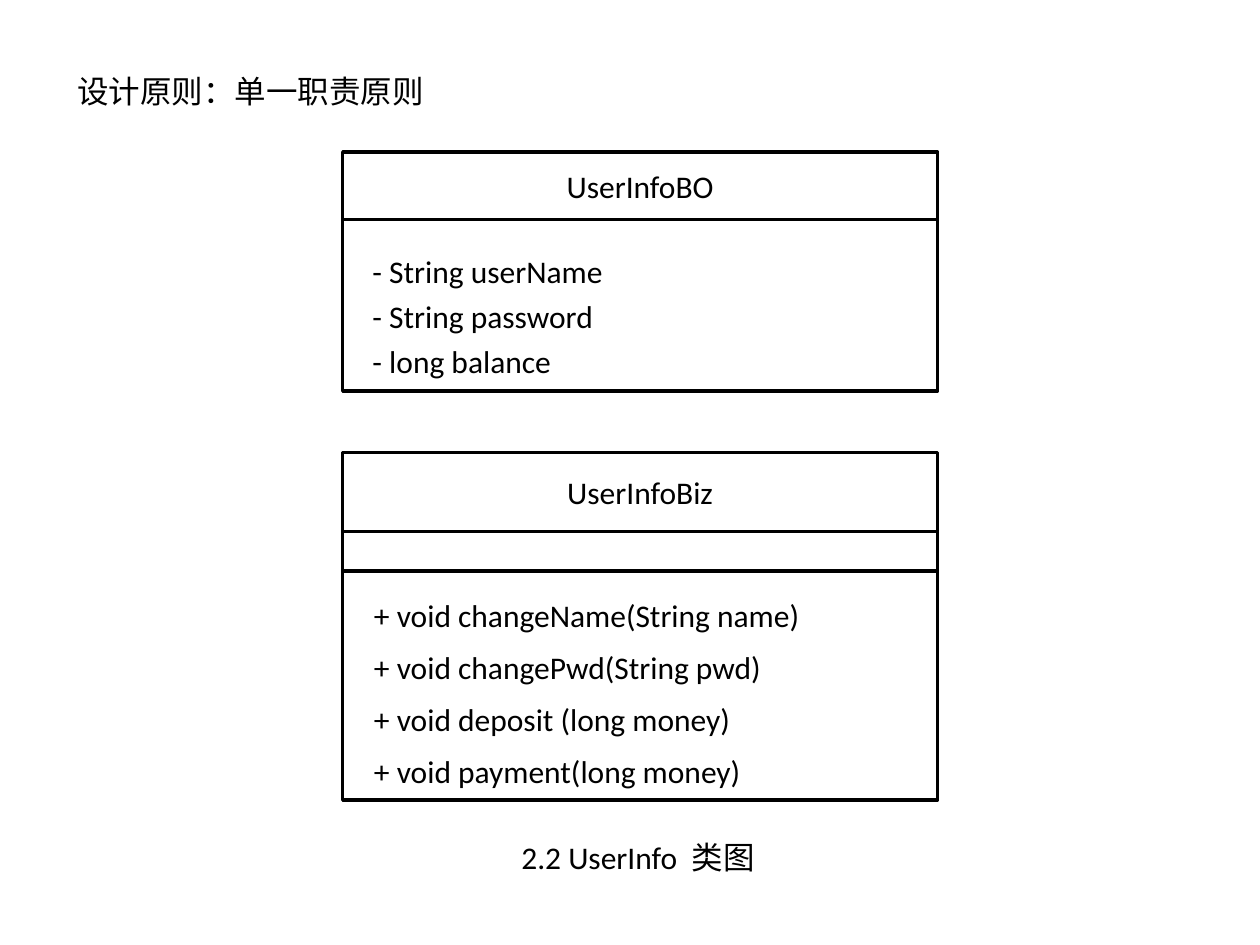
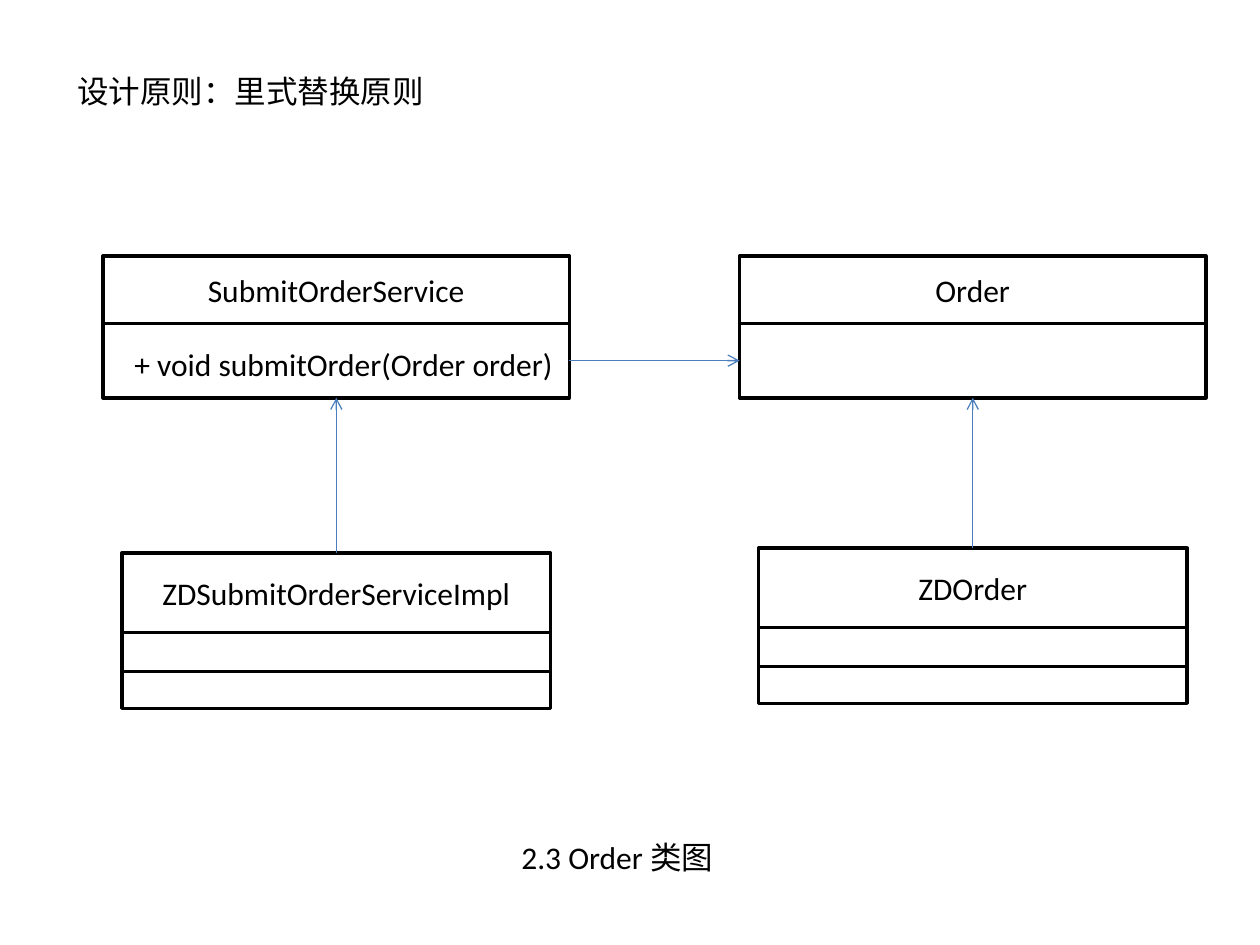
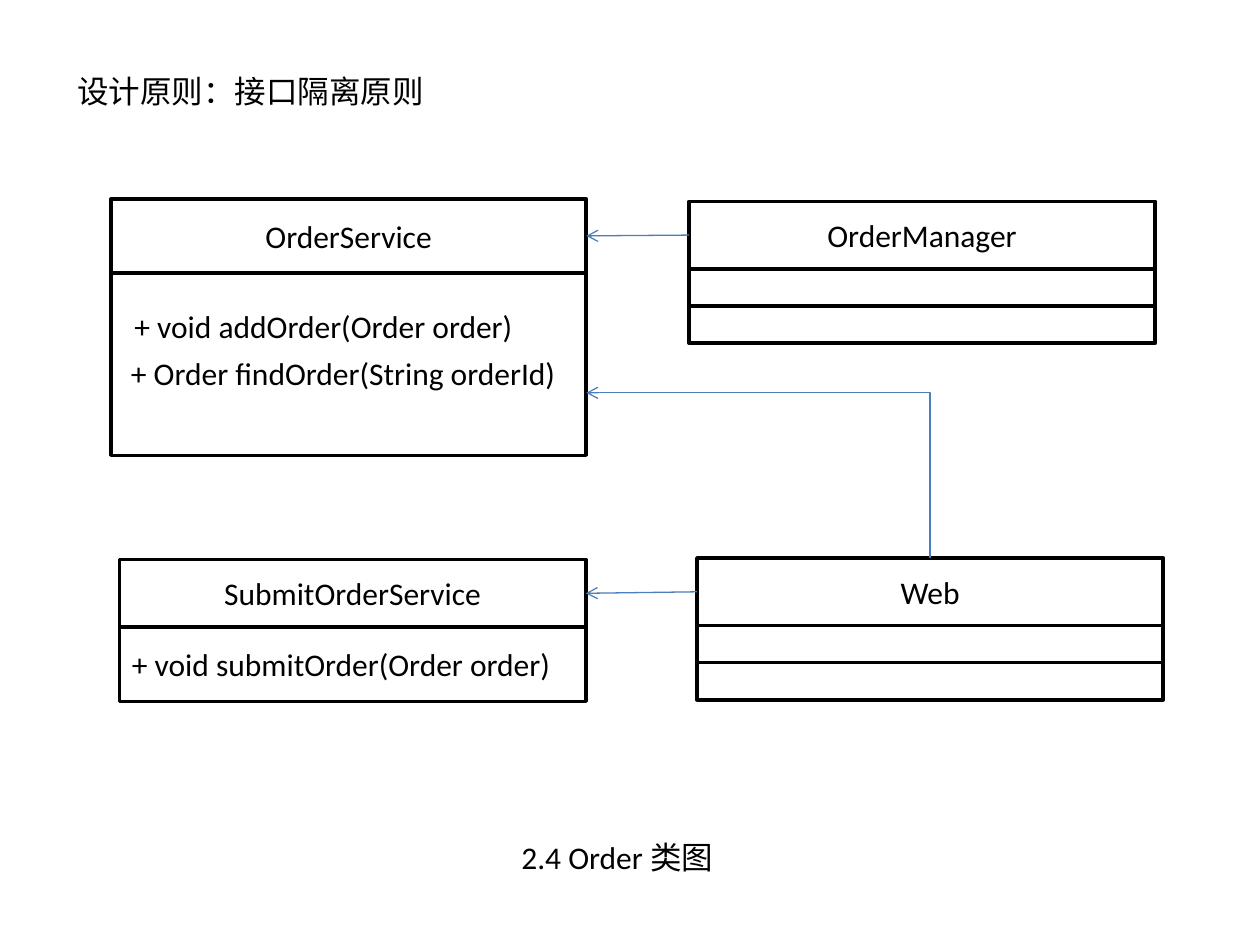
"""Build three slides of class diagrams on design principles."""
from pptx import Presentation
from pptx.dml.color import RGBColor as Rgb
from pptx.enum.shapes import MSO_CONNECTOR as Conn, MSO_SHAPE as Form
from pptx.enum.text import MSO_ANCHOR as Anchor, MSO_AUTO_SIZE as Fit, PP_ALIGN as Align
from pptx.oxml.ns import qn
from pptx.util import Cm, Pt
from lxml.etree import SubElement as Sub

HUES = {"ink": "000000", "paper": "FFFFFF", "arrow": "4B7EBC"}
FONT = {"name": "Calibri", "size": Pt(18), "bold": False}
FRAME = {"word_wrap": True, "vertical_anchor": Anchor.TOP, "auto_size": Fit.NONE}
PLACE = ("left", "top", "width", "height")


def write(shape, text, align=Align.LEFT, **extra):
    frame = shape.text_frame
    for key, val in {**FRAME, **extra}.items():
        setattr(frame, key, val)
    para = frame.paragraphs[0]
    para.text = text
    para.alignment = align
    font = para.runs[0].font
    for key, val in FONT.items():
        setattr(font, key, val)
    font.color.rgb = Rgb.from_string(HUES["ink"])


def link(slide, kind, ends, tip):
    line = slide.shapes.add_connector(kind, *[Cm(n) for n in ends])
    line.line.color.rgb = Rgb.from_string(HUES["arrow"])
    line.line.width = Pt(0.75)
    Sub(line.line._get_or_add_ln(), qn(f"a:{tip}"), type="arrow")
    Sub(line._element.spPr, qn("a:effectLst"))
    return line


DECK = [
    {
        "title": "设计原则：单一职责原则",
        "note": ("2.2 UserInfo  类图", 5.26),
        "boxes": [
            ("UserInfoBO", 6.91, 3.07, 11.99, (1.36, 3.45)),
            ("UserInfoBiz", 6.91, 9.12, 11.99, (1.6, 0.79, 4.62)),
        ],
        "lists": [
            (7.26, 4.95, 5.49, 0.91, ["- String userName", "- String password", "- long balance"]),
            (7.29, 11.89, 11.25, 1.05, [
                "+ void changeName(String name)",
                "+ void changePwd(String pwd)",
                "+ void deposit (long money)",
                "+ void payment(long money)",
            ]),
        ],
        "links": [],
        "bends": [],
    },
    {
        "title": "设计原则：里式替换原则",
        "note": ("2.3 Order 类图", 4.42),
        "boxes": [
            ("ZDSubmitOrderServiceImpl", 2.46, 11.15, 8.64, (1.6, 0.79, 0.74)),
            ("SubmitOrderService", 2.08, 5.16, 9.4, (1.36, 1.5)),
            ("ZDOrder", 15.29, 11.05, 8.64, (1.6, 0.79, 0.74)),
            ("Order", 14.91, 5.16, 9.4, (1.36, 1.5)),
        ],
        "lists": [(2.46, 6.83, 9.02, 1.05, ["+ void submitOrder(Order order)"])],
        "links": [
            ("ZDOrder", 0, 0, "Order", 1, 2),
            ("SubmitOrderService", 1, 3, "Order", 1, 1),
            ("ZDSubmitOrderServiceImpl", 0, 0, "SubmitOrderService", 1, 2),
        ],
        "bends": [],
    },
    {
        "title": "设计原则：接口隔离原则",
        "note": ("2.4 Order 类图", 4.42),
        "boxes": [
            ("SubmitOrderService", 2.41, 11.28, 9.4, (1.36, 1.5)),
            ("OrderService", 2.24, 4.01, 9.58, (1.49, 3.68)),
            ("OrderManager", 13.89, 4.06, 9.4, (1.36, 0.75, 0.75)),
            ("Web", 14.05, 11.25, 9.4, (1.36, 0.75, 0.75)),
        ],
        "lists": [
            (2.41, 12.88, 9.02, 1.05, ["+ void submitOrder(Order order)"]),
            (2.46, 6.07, 9.37, 1.05, ["+ void addOrder(Order order)"]),
            (2.39, 7.01, 9.58, 1.05, ["+ Order findOrder(String orderId)"]),
        ],
        "links": [
            ("OrderManager", 0, 1, "OrderService", 0, 3),
            ("Web", 0, 1, "SubmitOrderService", 0, 3),
        ],
        "bends": [(11.82, 7.92, 18.75, 11.25)],
    },
]

prs = Presentation()
prs.slide_width, prs.slide_height = Cm(25.4), Cm(19.05)

for page in DECK:
    slide = prs.slides.add_slide(prs.slide_layouts[5])
    title = slide.shapes.title
    for key, val in zip(PLACE, (1.3, 1.32, 21, 1.02)):
        setattr(title, key, Cm(val))
    write(title, page["title"])

    cells = {}
    for name, x, y, wide, rows in page["boxes"]:
        for i, high in enumerate(rows):
            top = y + sum(rows[:i])
            cell = slide.shapes.add_shape(Form.RECTANGLE, Cm(x), Cm(top), Cm(wide), Cm(high))
            cell.shadow.inherit = False
            cell.fill.solid()
            cell.fill.fore_color.rgb = Rgb.from_string(HUES["paper"])
            cell.line.color.rgb = Rgb.from_string(HUES["ink"])
            cell.line.width = Pt(2)
            cells[name, i] = cell
        write(cells[name, 0], name, Align.CENTER, vertical_anchor=Anchor.MIDDLE)

    for x, y, wide, step, lines in page["lists"]:
        for i, text in enumerate(lines):
            box = slide.shapes.add_textbox(Cm(x), Cm(y + i * step), Cm(wide), Cm(step))
            write(box, text)

    text, wide = page["note"]
    write(slide.shapes.add_textbox(Cm(10.26), Cm(16.76), Cm(wide), Cm(1.02)), text)

    for start, row, side, goal, part, edge in page["links"]:
        line = link(slide, Conn.STRAIGHT, (0, 0, 0, 0), "tailEnd")
        line.begin_connect(cells[start, row], side)
        line.end_connect(cells[goal, part], edge)

    for ends in page["bends"]:
        line = link(slide, Conn.ELBOW, ends, "headEnd")
        line._element.spPr.find(qn("a:prstGeom")).set("prst", "bentConnector2")

prs.save("out.pptx")
